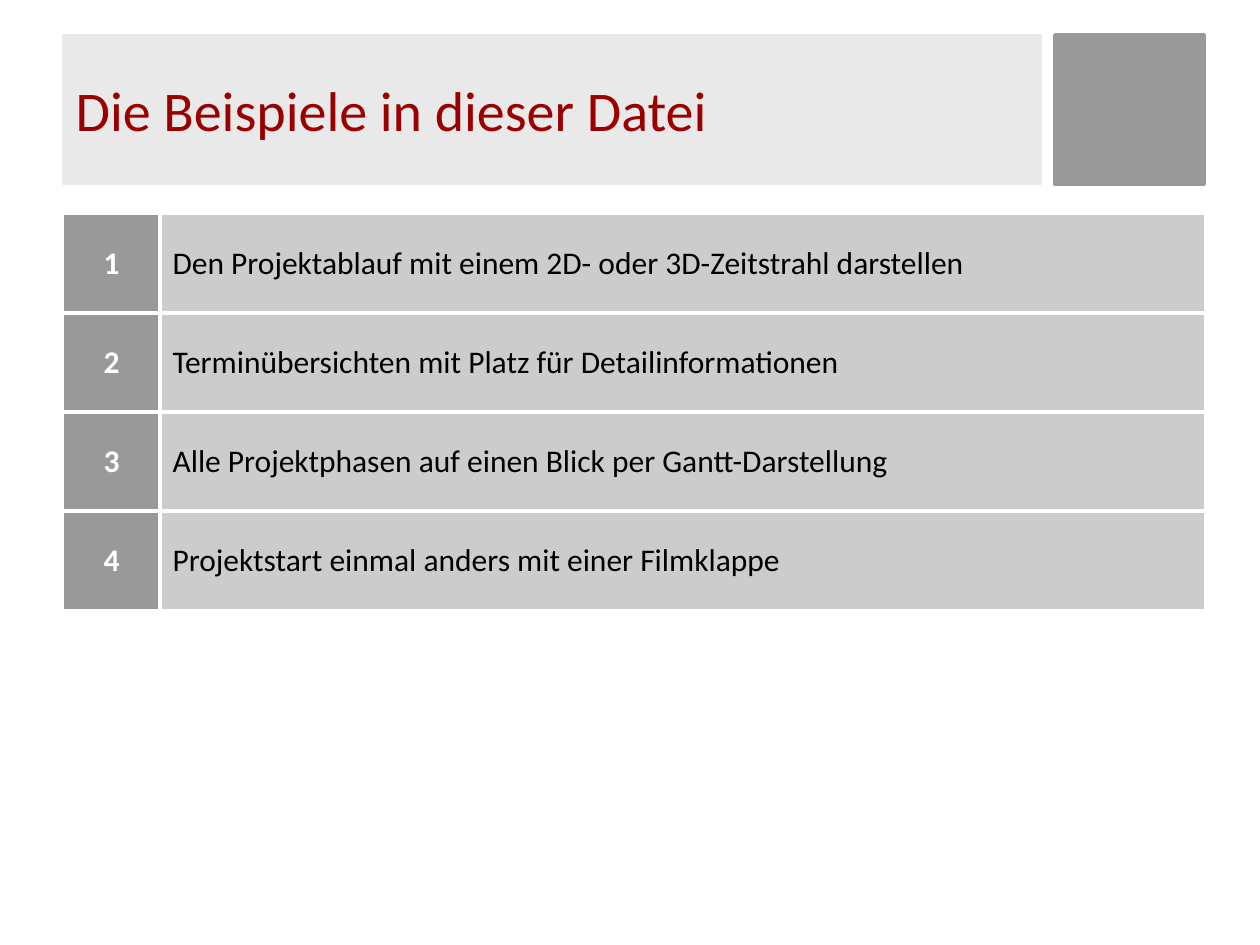
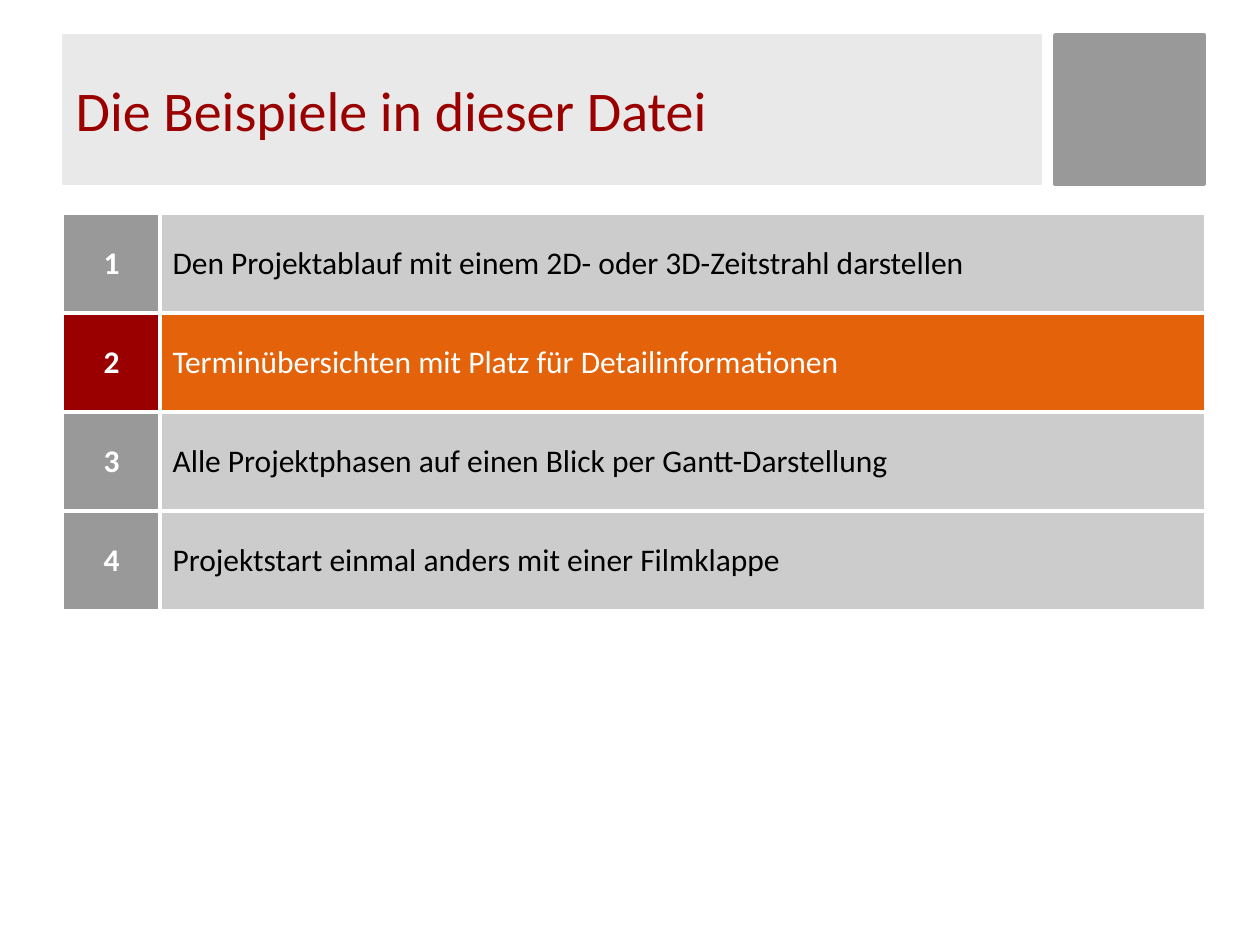
from lxml import etree
from pptx import Presentation
from pptx.dml.color import RGBColor
from pptx.enum.shapes import MSO_SHAPE
from pptx.enum.text import MSO_ANCHOR, MSO_AUTO_SIZE, PP_ALIGN
from pptx.oxml.ns import qn
from pptx.util import Emu, Pt

RECT = MSO_SHAPE.RECTANGLE
MIDDLE = MSO_ANCHOR.MIDDLE
NO_FIT = MSO_AUTO_SIZE.NONE
LEFT, CENTER = PP_ALIGN.LEFT, PP_ALIGN.CENTER

TITLE = "Die Beispiele in dieser Datei"
TOPICS = [
    "Den Projektablauf mit einem 2D- oder 3D-Zeitstrahl darstellen",
    "Terminübersichten mit Platz für Detailinformationen",
    "Alle Projektphasen auf einen Blick per Gantt-Darstellung",
    "Projektstart einmal anders mit einer Filmklappe",
]
ACTIVE_TOPICS = [None, 2]

COLORS = {
    "white": "FFFFFF",
    "black": "000000",
    "band": "E9E9E9",
    "gray": "999999",
    "light": "CCCCCC",
    "red": "9A0000",
    "orange": "E3620A",
}
FONT = "Calibri"
TITLE_FONT = {"name": FONT, "size": Pt(32), "bold": False}
NUMBER_FONT = {"name": FONT, "size": Pt(18), "bold": True}
TOPIC_FONT = {"name": FONT, "size": Pt(18), "bold": False}

NORMAL_ROW = [("gray", "white"), ("light", "black")]
ACTIVE_ROW = [("red", "white"), ("orange", "white")]

SLIDE_W, SLIDE_H = 1260, 945
MARGIN, BAND_TOP, BAND_H = 63, 35, 149
TITLE_W, SQUARE_LEFT = 978, 1055
TABLE_TOP, ROW_H = 214, 99
COL_WIDTHS = [97, 1045]
OUTER_PT, INNER_PT = 1, 3


def px(value):
    return Emu(round(value * 914400 / 126))


def rgb(name):
    return RGBColor.from_string(COLORS[name])


def paint(sp, color, line_pt):
    sp.fill.solid()
    sp.fill.fore_color.rgb = rgb(color)
    sp.line.color.rgb = rgb(color)
    sp.line.width = Pt(line_pt)


def write(tf, text, fmt, color, align):
    p = tf.paragraphs[0]
    p.alignment = align
    r = p.add_run()
    r.text = text
    for name, value in fmt.items():
        setattr(r.font, name, value)
    r.font.color.rgb = rgb(color)


def add_header(s):
    sp = s.shapes.add_shape(
        RECT, px(SQUARE_LEFT), px(BAND_TOP), px(BAND_H), px(BAND_H))
    sp.shadow.inherit = False
    paint(sp, "gray", 2)

    title = s.shapes.title
    box = {"left": MARGIN, "top": BAND_TOP, "width": TITLE_W, "height": BAND_H}
    for name, value in box.items():
        setattr(title, name, px(value))
    paint(title, "band", 0.75)
    tf = title.text_frame
    tf.vertical_anchor = MIDDLE
    tf.auto_size = NO_FIT
    write(tf, TITLE, TITLE_FONT, "red", LEFT)


def set_borders(cell, outer_sides):
    tcPr = cell._tc.get_or_add_tcPr()
    for side in "LRTB":
        width = OUTER_PT if side in outer_sides else INNER_PT
        ln = etree.SubElement(tcPr, qn(f"a:ln{side}"), w=str(Pt(width)))
        fill = etree.SubElement(ln, qn("a:solidFill"))
        etree.SubElement(fill, qn("a:srgbClr"), val=COLORS["white"])


def add_agenda(s, active):
    rows, cols = len(TOPICS), len(COL_WIDTHS)
    table = s.shapes.add_table(
        rows, cols, px(MARGIN), px(TABLE_TOP),
        px(sum(COL_WIDTHS)), px(rows * ROW_H)).table
    table.first_row = table.horz_banding = False
    for col, width in zip(table.columns, COL_WIDTHS):
        col.width = px(width)

    for i, topic in enumerate(TOPICS):
        table.rows[i].height = px(ROW_H)
        row_sides = ("T" if i == 0 else "") + ("B" if i == rows - 1 else "")
        styles = ACTIVE_ROW if i + 1 == active else NORMAL_ROW
        parts = [(str(i + 1), NUMBER_FONT, CENTER, "L"),
                 (topic, TOPIC_FONT, LEFT, "R")]
        for j, (text, fmt, align, side) in enumerate(parts):
            fill, color = styles[j]
            cell = table.cell(i, j)
            set_borders(cell, row_sides + side)
            cell.fill.solid()
            cell.fill.fore_color.rgb = rgb(fill)
            cell.vertical_anchor = MIDDLE
            write(cell.text_frame, text, fmt, color, align)


def main():
    prs = Presentation()
    prs.slide_width, prs.slide_height = px(SLIDE_W), px(SLIDE_H)
    for active in ACTIVE_TOPICS:
        s = prs.slides.add_slide(prs.slide_layouts.get_by_name("Title Only"))
        add_header(s)
        add_agenda(s, active)
    prs.save("out.pptx")


if __name__ == "__main__":
    main()
